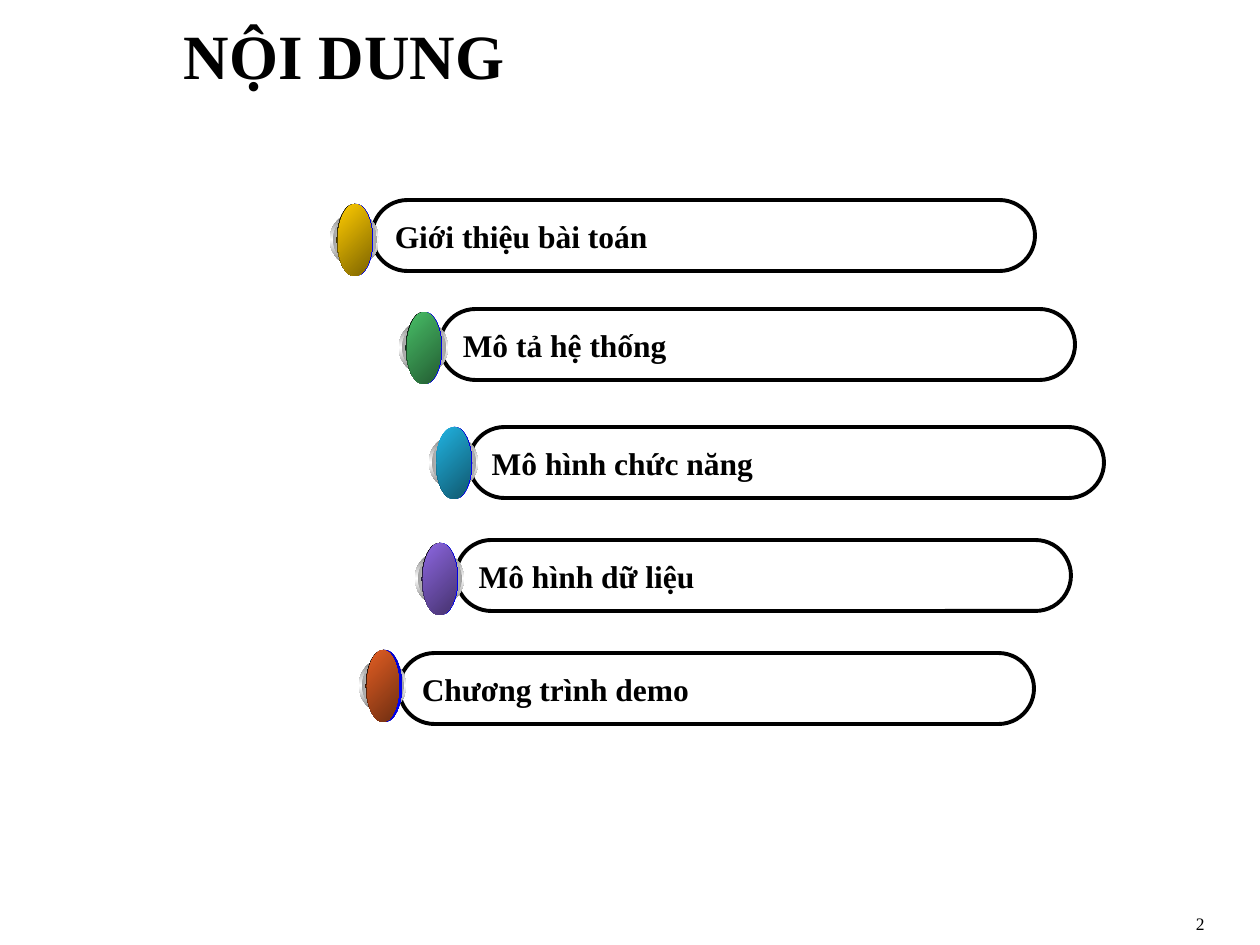
from dataclasses import dataclass

from lxml.etree import SubElement
from pptx import Presentation
from pptx.dml.color import RGBColor
from pptx.enum.shapes import MSO_SHAPE as Shape
from pptx.enum.text import MSO_ANCHOR as Anchor, MSO_AUTO_SIZE as AutoSize, PP_ALIGN as Align
from pptx.oxml.ns import qn
from pptx.util import Emu, Pt


@dataclass(frozen=True)
class Theme:
    font: str = "Times New Roman"
    ink: str = "000000"
    paper: str = "FFFFFF"
    ring: str = "767676"
    dish: str = "A2A2A2"
    glow: str = "0000FF"
    sheen: str = "0000C3"
    title_size: int = 36
    item_size: int = 18
    number_size: int = 10
    outline: float = 2.25


@dataclass(frozen=True)
class Item:
    text: str
    pill: tuple
    ball: tuple
    color: str
    dark: str
    shade: tuple
    shade_angle: int = 45
    ring_width: int = 49
    face_width: int = 34


THEME = Theme()
PX_PER_INCH = 126
PILL_HEIGHT = 71
BALL_HEIGHT = 72

ITEMS = [
    Item("Giới thiệu bài toán", (372, 200, 663), (337, 204), "FFCC00", "7C6300",
         (THEME.ink, "FFCC00")),
    Item("Mô tả hệ thống", (440, 309, 635), (406, 312), "48BE67", "235C32",
         (THEME.ink, "48BE67")),
    Item("Mô hình chức năng", (469, 427, 635), (436, 427), "21B3E1", "10576D",
         ("21B3E1", "0F5368"), shade_angle=90),
    Item("Mô hình dữ liệu", (456, 540, 615), (422, 543), "8D67E1", "45326D",
         (THEME.ink, "8D67E1")),
    Item("Chương trình demo", (399, 653, 635), (366, 650), "E35E23", "6E2E11",
         (THEME.ink, "E35E23"), ring_width=47, face_width=32),
]


def px(n):
    return Emu(round(n * 914400 / PX_PER_INCH))


def box(*lengths):
    return [px(n) for n in lengths]


def rgb(color):
    return RGBColor.from_string(color)


def write(tf, text, size, align=Align.LEFT, bold=True, anchor=Anchor.MIDDLE):
    tf.word_wrap = True
    tf.vertical_anchor = anchor
    p = tf.paragraphs[0]
    p.text = text
    p.alignment = align
    p.font.name = THEME.font
    p.font.size = Pt(size)
    p.font.bold = bold
    p.font.color.rgb = rgb(THEME.ink)


def add_title(s, text):
    sp = s.shapes.title
    sp.left, sp.top, sp.width, sp.height = box(79, 10, 530, 90)
    write(sp.text_frame, text, THEME.title_size, Align.CENTER, anchor=Anchor.TOP)
    sp.text_frame.auto_size = AutoSize.SHAPE_TO_FIT_TEXT


def add_number(s, text):
    sp = s.shapes.add_textbox(*box(924, 892, 293, 63))
    write(sp.text_frame, text, THEME.number_size, Align.RIGHT, bold=False)


def add_pill(s, item):
    sp = s.shapes.add_shape(Shape.ROUNDED_RECTANGLE, *box(*item.pill, PILL_HEIGHT))
    sp.adjustments[0] = 0.5
    sp.shadow.inherit = False
    sp.fill.solid()
    sp.fill.fore_color.rgb = rgb(THEME.paper)
    sp.line.color.rgb = rgb(THEME.ink)
    sp.line.width = Pt(THEME.outline)
    write(sp.text_frame, item.text, THEME.item_size)


def add_ellipse(s, bounds, colors, angle):
    sp = s.shapes.add_shape(Shape.OVAL, *box(*bounds))
    sp.shadow.inherit = False
    sp.line.fill.background()
    sp.fill.gradient()
    sp.fill.gradient_angle = -angle % 360
    stops = sp.element.spPr.find(qn("a:gradFill")).find(qn("a:gsLst"))
    stops.clear()
    for i, color in enumerate(colors):
        position = 100000 * i // (len(colors) - 1)
        gs = SubElement(stops, qn("a:gs"), pos=str(position))
        SubElement(gs, qn("a:srgbClr"), val=color)


def add_ball(s, item):
    x, y = item.ball
    t = THEME
    layers = [
        ((x - 7, y + 9, item.ring_width, 53), (t.ring, t.paper, t.ring), 90),
        ((x - 4, y + 12, item.ring_width - 5, 47), (t.dish, t.paper, t.dish), 0),
        ((x + 1, y, 35, BALL_HEIGHT), (t.paper, t.glow, t.paper), 45),
        ((x, y, 35, BALL_HEIGHT), item.shade, item.shade_angle),
        ((x + 2, y, 34, BALL_HEIGHT), (t.sheen, t.glow, t.sheen), 315),
        ((x + 1, y, item.face_width, BALL_HEIGHT), (item.color, item.dark), 45),
    ]
    for bounds, colors, angle in layers:
        add_ellipse(s, bounds, colors, angle)


def main():
    prs = Presentation()
    prs.slide_width, prs.slide_height = box(1260, 945)
    s = prs.slides.add_slide(prs.slide_layouts[5])
    for item in reversed(ITEMS):
        add_pill(s, item)
    for item in ITEMS:
        add_ball(s, item)
    add_title(s, "NỘI DUNG")
    add_number(s, "2")
    prs.save("out.pptx")


if __name__ == "__main__":
    main()
